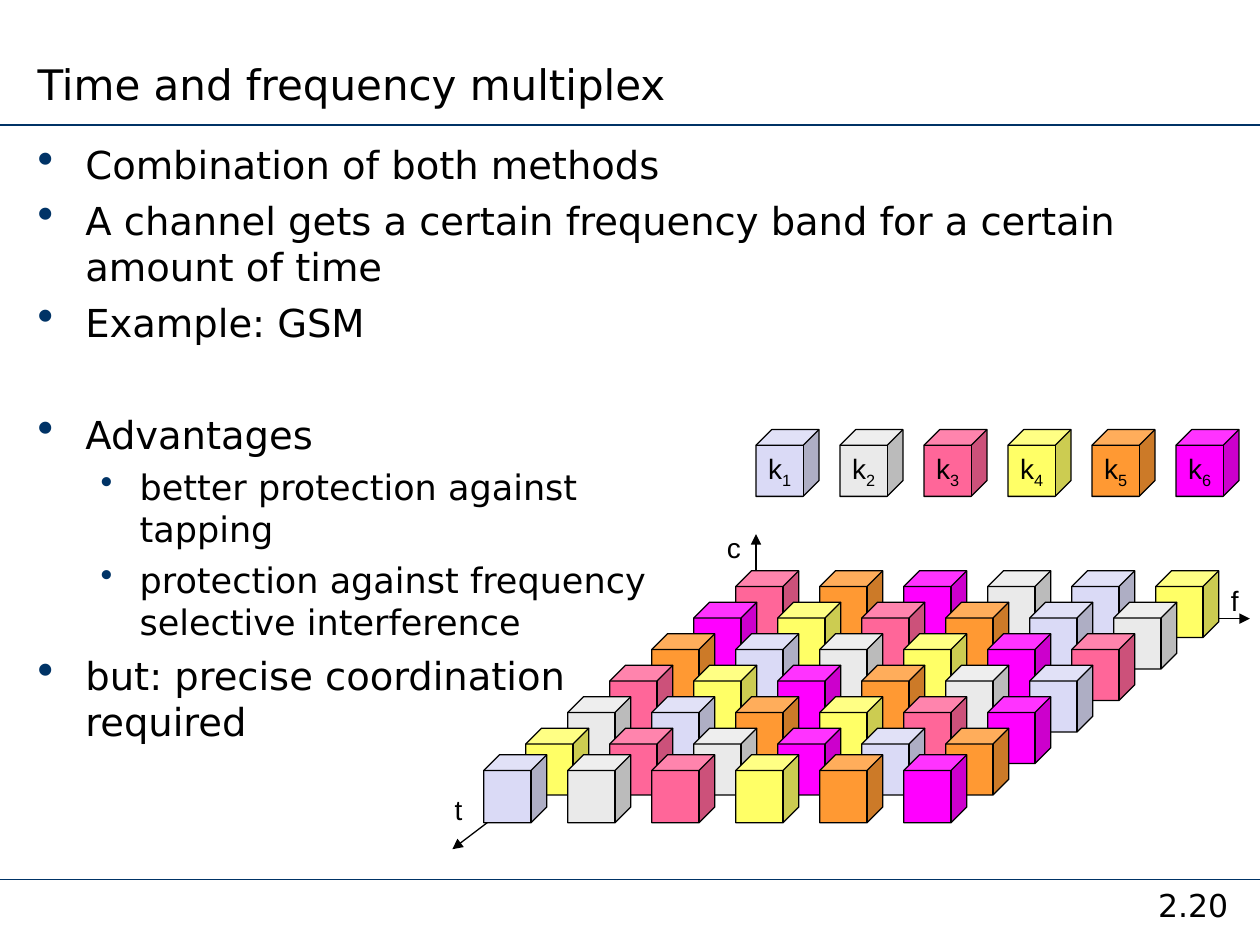
from lxml import etree
from pptx import Presentation
from pptx.dml.color import RGBColor
from pptx.enum import shapes, text
from pptx.oxml import ns
from pptx.util import Inches, Pt

NAVY = "003366"
BLACK = "000000"
BODY_FONT = "DejaVu Sans"
LABEL_FONT = "Arial"
CHANNEL_COLORS = ["DADAF6", "EAEAEA", "FF6699", "FFFF66", "FF9933", "FF00FF"]
CHANNELS_BY_TIME = ["356214", "643512", "512463", "346521", "215436", "432615", "123456"]
COLUMN_STEP = 2 / 3

BULLETS = [
    (0, "Combination of both methods", 0),
    (0, "A channel gets a certain frequency band for a certain amount of time", 5.5),
    (0, "Example: GSM", 5.5),
    (0, "Advantages", 37.5),
    (1, "better protection against \vtapping", 5),
    (1, "protection against frequency \vselective interference", 5),
    (0, "but: precise coordination\vrequired", 5.5),
]
LEVELS = [(0.38, -0.38, 120, 22), (0.81, -0.31, 100, 20)]


def color(value):
    return RGBColor.from_string(value)


def style(paragraph, size, font):
    paragraph.font.size = Pt(size)
    paragraph.font.name = font
    paragraph.font.color.rgb = color(BLACK)


def add_element(parent, tag, **attributes):
    return etree.SubElement(parent, ns.qn(tag), attributes)


def add_line(slide, start, end, line_color, width, arrow=False):
    line = slide.shapes.add_connector(
        shapes.MSO_CONNECTOR.STRAIGHT, *map(Inches, start + end))
    line.line.color.rgb = color(line_color)
    line.line.width = Pt(width)
    if arrow:
        add_element(line.line._get_or_add_ln(), "a:tailEnd", type="triangle")
    add_element(line._element.spPr, "a:effectLst")


def add_text_frame(slide, box, wrap=True):
    frame = slide.shapes.add_textbox(*map(Inches, box)).text_frame
    frame.word_wrap = wrap
    return frame


def add_label(slide, box, words, size, font, wrap=False):
    frame = add_text_frame(slide, box, wrap)
    paragraph = frame.paragraphs[0]
    paragraph.text = words
    style(paragraph, size, font)
    return frame


def add_bullets(slide, box):
    frame = add_text_frame(slide, box)
    for index, (level, words, space_before) in enumerate(BULLETS):
        paragraph = frame.add_paragraph() if index else frame.paragraphs[0]
        paragraph.text = words
        paragraph.level = level
        paragraph.space_before = Pt(space_before)
        margin, indent, bullet_percent, size = LEVELS[level]
        properties = paragraph._p.get_or_add_pPr()
        properties.set("marL", str(Inches(margin)))
        properties.set("indent", str(Inches(indent)))
        bullet_color = add_element(properties, "a:buClr")
        add_element(bullet_color, "a:srgbClr", val=NAVY)
        add_element(properties, "a:buSzPct", val=str(bullet_percent * 1000))
        add_element(properties, "a:buChar", char="•")
        style(paragraph, size, BODY_FONT)


def add_cube(slide, left, top, channel, height=0.53):
    cube = slide.shapes.add_shape(
        shapes.MSO_SHAPE.CUBE, *map(Inches, (left, top, 0.5, height)))
    cube.shadow.inherit = False
    cube.adjustments[0] = 0.25
    cube.fill.solid()
    cube.fill.fore_color.rgb = color(CHANNEL_COLORS[channel - 1])
    cube.line.color.rgb = color(BLACK)
    cube.line.width = Pt(0.75)
    return cube


def add_legend(slide):
    for channel in range(1, len(CHANNEL_COLORS) + 1):
        cube = add_cube(slide, 6 + (channel - 1) * COLUMN_STEP, 3.41, channel)
        frame = cube.text_frame
        frame.word_wrap = False
        frame.vertical_anchor = text.MSO_ANCHOR.MIDDLE
        paragraph = frame.paragraphs[0]
        paragraph.alignment = text.PP_ALIGN.CENTER
        style(paragraph, 16, LABEL_FONT)
        paragraph.add_run().text = "k"
        subscript = paragraph.add_run()
        subscript.text = str(channel)
        subscript.font._element.set("baseline", "-25000")


def add_cube_grid(slide):
    last = len(CHANNELS_BY_TIME) - 1
    for row, channels in enumerate(CHANNELS_BY_TIME):
        top, height = (5.99, 0.54) if row == last else (4.53 + row * 0.25, 0.53)
        for column, channel in enumerate(channels):
            left = 5.84 - row * COLUMN_STEP / 2 + column * COLUMN_STEP
            add_cube(slide, left, top, int(channel), height)


def main():
    deck = Presentation()
    deck.slide_width, deck.slide_height = Inches(10), Inches(7.5)
    slide = deck.slides.add_slide(deck.slide_layouts[6])

    for rule_y in (0.99, 6.98):
        add_line(slide, (0, rule_y), (10, rule_y), NAVY, 1)
    page = add_label(slide, (8.94, 6.98, 1.06, 0.44), "2.20", 18, BODY_FONT, True)
    page.paragraphs[0].alignment = text.PP_ALIGN.CENTER

    for axis_tip in ((9.92, 4.91), (3.59, 6.74), (6, 4.24)):
        add_line(slide, (6, 4.91), axis_tip, BLACK, 0.75, arrow=True)

    title = add_label(slide, (0.2, 0, 6.61, 0.91), "Time and frequency multiplex",
                      24, BODY_FONT, True)
    title.vertical_anchor = text.MSO_ANCHOR.BOTTOM
    add_bullets(slide, (0.2, 1.07, 9.61, 5.85))

    add_cube_grid(slide)
    for axis, left, top, width in (("f", 9.67, 4.58, 0.26), ("t", 3.51, 6.24, 0.26),
                                   ("c", 5.67, 4.16, 0.31)):
        add_label(slide, (left, top, width, 0.37), axis, 16, LABEL_FONT)
    add_legend(slide)

    deck.save("out.pptx")


if __name__ == "__main__":
    main()
